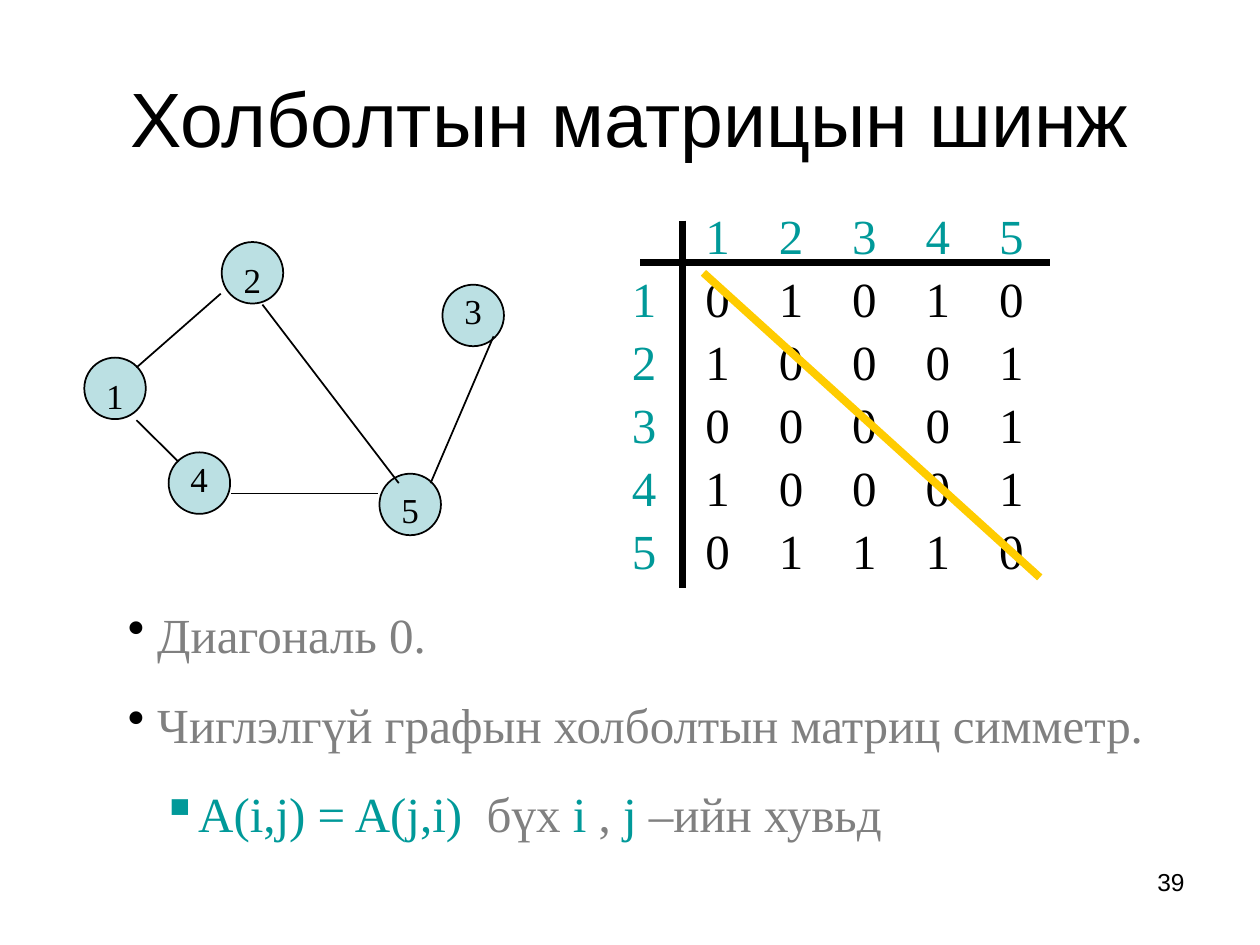
import pptx
import pptx.dml.color
import pptx.enum.shapes
import pptx.enum.text
import pptx.oxml.ns
import pptx.util
from lxml import etree
from pptx.util import Cm

BLACK, GRAY, TEAL, PALE, GOLD = "000000", "808080", "009999", "BBE0E3", "FFCC00"
SANS, SERIF = "Arial", "Times New Roman"

# Node label: circle left, circle top, label top
NODES = {
    "1": (1.7, 7.21, 7.42),
    "2": (4.47, 4.88, 5.08),
    "3": (8.92, 5.74, 5.72),
    "4": (3.4, 9.12, 9.1),
    "5": (7.65, 9.55, 9.73),
}
EDGES = [
    (4.45, 5.92, 2.75, 7.41),
    (5.29, 6.14, 8.04, 9.74),
    (2.75, 8.47, 3.6, 9.31),
    (9.95, 6.78, 8.68, 9.74),
    (4.66, 9.95, 7.62, 9.95),
]
MATRIX = [" 12345", "101010", "210001", "300001", "410001", "501110"]
PROPERTIES = [
    (0, [("Диагональ 0.", GRAY)]),
    (0, [("Чиглэлгүй графын холболтын матриц симметр.", GRAY)]),
    (1, [("A(i,j) = A(j,i)  ", TEAL), ("бүх ", GRAY), ("i ", TEAL),
         (", ", GRAY), ("j ", TEAL), ("–ийн хувьд", GRAY)]),
]
# Per level: bullet, bullet colour, text indent
BULLETS = [("•", BLACK, 0.59), ("▪", TEAL, 1.27)]
BULLET_HANG = 0.59


def color(hex_value):
    return pptx.dml.color.RGBColor.from_string(hex_value)


class SlideBuilder:
    """Draws styled elements, measured in centimetres, on one slide."""

    def __init__(self, slide):
        self.slide = slide

    def set_font(self, font, size, name, hex_value=None):
        font.size = pptx.util.Pt(size)
        font.name = name
        if hex_value:
            font.color.rgb = color(hex_value)

    def text_frame(self, left, top, width, height):
        box = self.slide.shapes.add_textbox(Cm(left), Cm(top), Cm(width), Cm(height))
        box.text_frame.word_wrap = True
        return box.text_frame

    def text(self, text, left, top, width, height, size, name=SERIF,
             hex_value=BLACK, align="LEFT", anchor="TOP"):
        frame = self.text_frame(left, top, width, height)
        frame.vertical_anchor = pptx.enum.text.MSO_ANCHOR[anchor]
        paragraph = frame.paragraphs[0]
        paragraph.text = text
        paragraph.alignment = pptx.enum.text.PP_ALIGN[align]
        self.set_font(paragraph.font, size, name, hex_value)

    def circle(self, left, top, diameter):
        shape = self.slide.shapes.add_shape(
            pptx.enum.shapes.MSO_SHAPE.OVAL,
            Cm(left), Cm(top), Cm(diameter), Cm(diameter))
        shape.shadow.inherit = False
        shape.fill.solid()
        shape.fill.fore_color.rgb = color(PALE)
        shape.line.color.rgb = color(BLACK)
        shape.line.width = pptx.util.Pt(1)

    def line(self, start_x, start_y, end_x, end_y, width=1, hex_value=BLACK):
        connector = self.slide.shapes.add_connector(
            pptx.enum.shapes.MSO_CONNECTOR.STRAIGHT,
            Cm(start_x), Cm(start_y), Cm(end_x), Cm(end_y))
        connector.line.color.rgb = color(hex_value)
        connector.line.width = pptx.util.Pt(width)
        etree.SubElement(connector._element.spPr, pptx.oxml.ns.qn("a:effectLst"))

    def add_bullet(self, paragraph, level):
        qn = pptx.oxml.ns.qn
        character, hex_value, indent = BULLETS[level]
        paragraph.level = level
        properties = paragraph._p.get_or_add_pPr()
        properties.set("marL", str(Cm(indent)))
        properties.set("indent", str(Cm(-BULLET_HANG)))
        bullet_color = etree.SubElement(properties, qn("a:buClr"))
        etree.SubElement(bullet_color, qn("a:srgbClr"), val=hex_value)
        etree.SubElement(properties, qn("a:buChar"), char=character)

    def bullet_list(self, items, left, top, width, height, size):
        frame = self.text_frame(left, top, width, height)
        for index, (level, runs) in enumerate(items):
            paragraph = frame.add_paragraph() if index else frame.paragraphs[0]
            if index:
                paragraph.space_before = pptx.util.Pt(17.5)
            self.add_bullet(paragraph, level)
            self.set_font(paragraph.font, size, SERIF)
            for text, hex_value in runs:
                run = paragraph.add_run()
                run.text = text
                run.font.color.rgb = color(hex_value)

    def graph(self):
        for left, top, _ in NODES.values():
            self.circle(left, top, 1.24)
        for edge in EDGES:
            self.line(*edge)
        for label, (left, _, label_top) in NODES.items():
            self.text(label, left + 0.19, label_top, 0.64, 1.09, 20)

    def matrix(self, left, top, column_step, row_step):
        for row, values in enumerate(MATRIX):
            for column, value in enumerate(values):
                if value == " ":
                    continue
                is_header = row == 0 or column == 0
                self.text(value, left + column * column_step, top + row * row_step,
                          1.27 if is_header else 0.85, 1.45, 28,
                          hex_value=TEAL if is_header else BLACK)
        self.line(12.91, 5.29, 21.17, 5.29, 4)
        self.line(13.76, 4.45, 13.76, 11.85, 4)
        self.line(14.18, 5.5, 20.96, 11.64, 4.5, GOLD)


def main():
    presentation = pptx.Presentation()
    presentation.slide_width, presentation.slide_height = Cm(25.4), Cm(19.05)
    builder = SlideBuilder(presentation.slides.add_slide(presentation.slide_layouts[6]))
    builder.text("Холболтын матрицын шинж", 1.27, 0.76, 22.86, 3.18, 44, SANS,
                 align="CENTER", anchor="MIDDLE")
    builder.graph()
    builder.matrix(12.49, 4.02, 1.48, 1.27)
    builder.bullet_list(PROPERTIES, 2.33, 12.07, 22.43, 5.05, 28)
    builder.text("39", 18.2, 17.36, 5.93, 1.32, 14, SANS, align="RIGHT")
    presentation.save("out.pptx")


if __name__ == "__main__":
    main()
